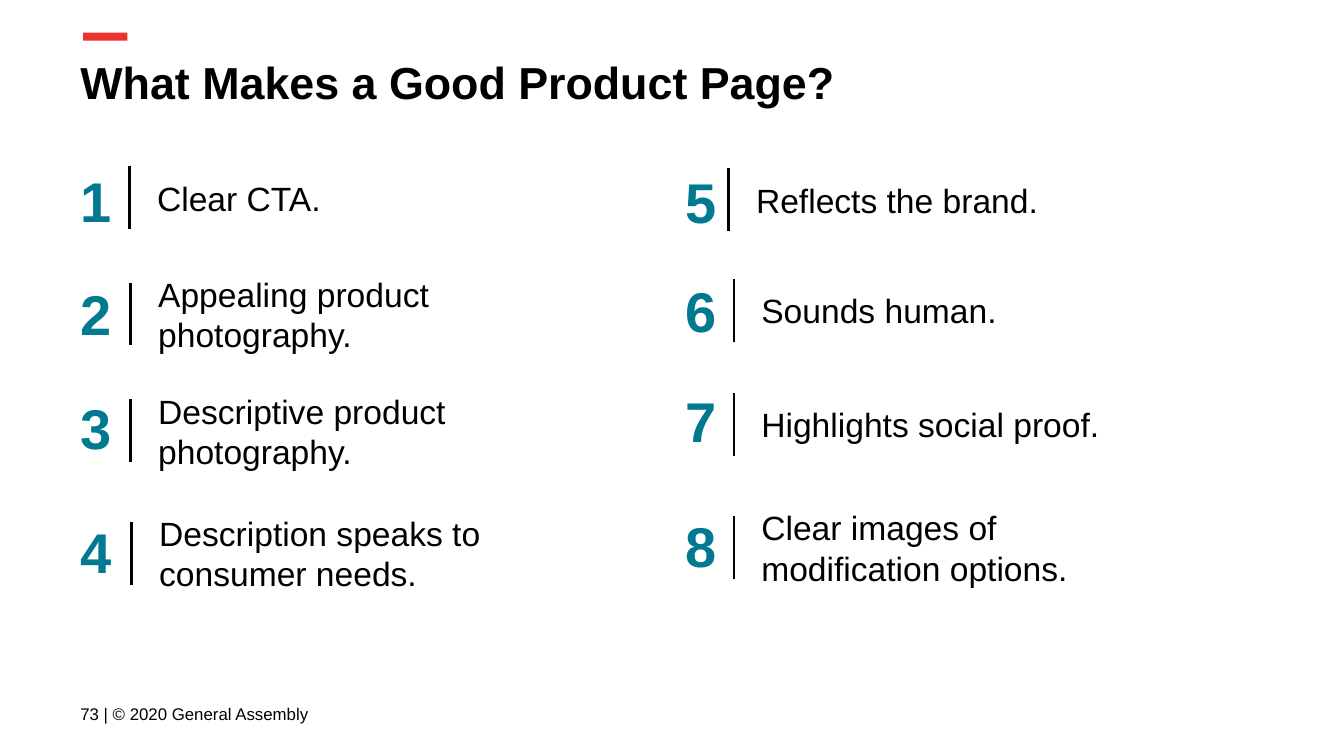
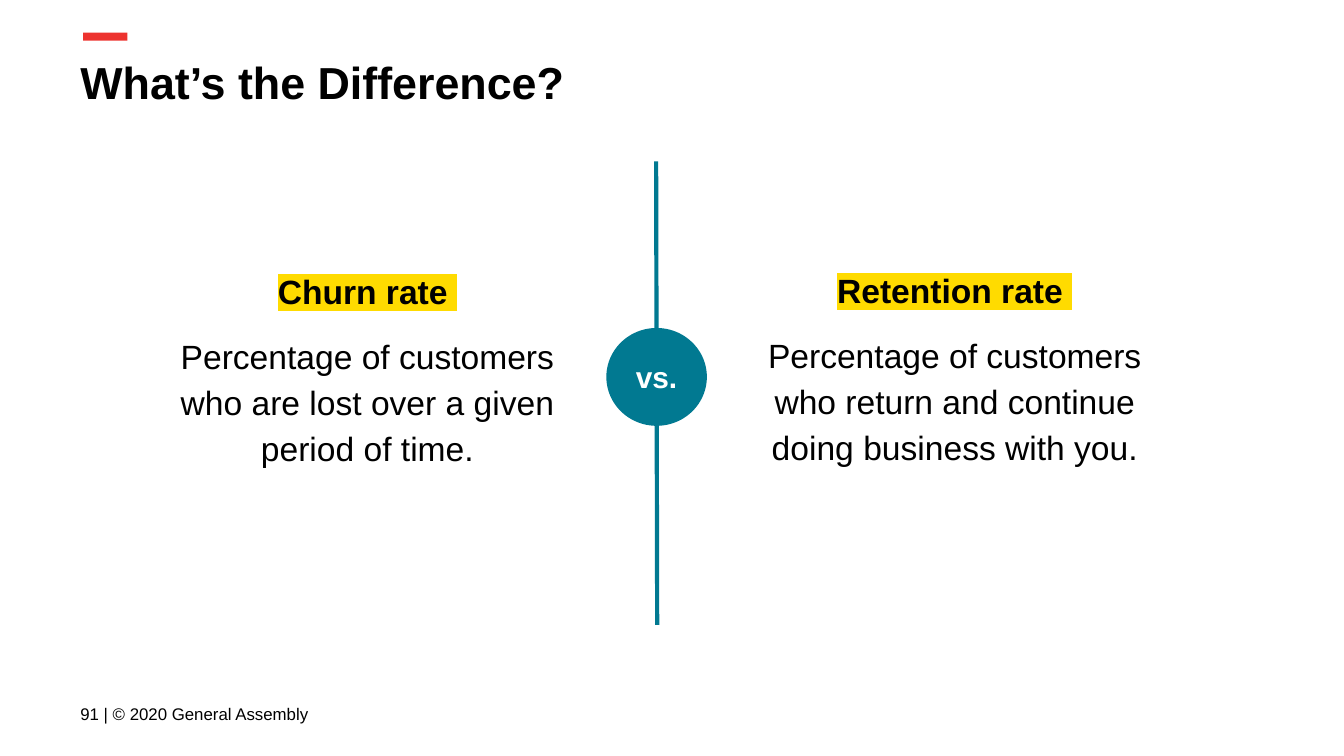
from lxml import etree
from pptx import Presentation
from pptx.dml.color import RGBColor
from pptx.enum.shapes import MSO_CONNECTOR as CONN, MSO_SHAPE as SHAPE
from pptx.enum.text import MSO_ANCHOR as ANCHOR, MSO_AUTO_SIZE as FIT, PP_ALIGN as ALIGN
from pptx.oxml.ns import qn
from pptx.util import Cm, Pt

COLORS = {
    "ink": "000000",
    "paper": "FFFFFF",
    "accent": "ED332F",
    "teal": "017991",
    "marker": "FFDB00",
}
FONT = "Arial"
INSET = Cm(0.25)
LEFT = 1.27  # left edge of title, footer and first column, in cm


def rgb(name):
    return RGBColor.from_string(COLORS[name])


def set_all(obj, values):
    for name, value in values.items():
        setattr(obj, name, value)


def highlight(run, color):
    mark = etree.Element(qn("a:highlight"))
    etree.SubElement(mark, qn("a:srgbClr"), val=COLORS[color])
    run.font._element.find(qn("a:solidFill")).addnext(mark)


class Deck:
    def __init__(self):
        self.prs = Presentation()
        self.prs.slide_width, self.prs.slide_height = Cm(25.4), Cm(14.29)
        self.s = None

    def slide(self, title, number):
        """Start a slide with its accent bar, title and footer."""
        self.s = self.prs.slides.add_slide(self.prs.slide_layouts[5])
        self.shape(SHAPE.RECTANGLE, (1.57, 0.62, 0.84, 0.15), "accent")
        sp = self.s.shapes.title
        box = dict(zip(("left", "top", "width", "height"), map(Cm, (LEFT, 0.79, 23.67, 1.6))))
        set_all(sp, box)
        self.frame(sp.text_frame, ANCHOR.TOP)
        self.fill_text(sp.text_frame.paragraphs[0], title, 24, bold=True)
        self.text((LEFT, 12.95, 7.95, 1.09), f"{number} | © 2020 General Assembly", 9,
                  anchor=ANCHOR.MIDDLE)

    def frame(self, tf, anchor):
        set_all(tf, {
            "word_wrap": True, "auto_size": FIT.NONE, "vertical_anchor": anchor,
            "margin_left": INSET, "margin_right": INSET,
            "margin_top": INSET, "margin_bottom": INSET,
        })

    def fill_text(self, p, text, size, color="ink", bold=False, align=ALIGN.LEFT):
        p.text = text
        p.alignment = align
        for r in p.runs:
            set_all(r.font, {"name": FONT, "size": Pt(size), "bold": bold})
            r.font.color.rgb = rgb(color)

    def text(self, box, text, size, anchor=ANCHOR.TOP, **style):
        tf = self.s.shapes.add_textbox(*map(Cm, box)).text_frame
        self.frame(tf, anchor)
        self.fill_text(tf.paragraphs[0], text, size, **style)
        return tf

    def shape(self, kind, box, fill):
        sp = self.s.shapes.add_shape(kind, *map(Cm, box))
        sp.shadow.inherit = False
        sp.fill.solid()
        sp.fill.fore_color.rgb = rgb(fill)
        sp.line.fill.background()
        return sp

    def line(self, ends, color, width):
        ln = self.s.shapes.add_connector(CONN.STRAIGHT, *map(Cm, ends))
        ln.line.color.rgb = rgb(color)
        ln.line.width = Pt(width)
        etree.SubElement(ln._element.spPr, qn("a:effectLst"))

    def numbered(self, number, text, left, number_top, rule_x, rule_top):
        """Big numeral, vertical rule and a label placed relative to the rule."""
        self.text((left, number_top, 0.92, 1.27), str(number), 30, color="teal", bold=True)
        self.line((rule_x, rule_top, rule_x, rule_top + 1.19), "ink", 1.5)
        self.text((rule_x + 0.27, rule_top - 0.24, 8.51, 1.68), text, 18,
                  anchor=ANCHOR.MIDDLE)

    def badge(self, box, text):
        sp = self.shape(SHAPE.OVAL, box, "teal")
        self.frame(sp.text_frame, ANCHOR.MIDDLE)
        self.fill_text(sp.text_frame.paragraphs[0], text, 16, color="paper", bold=True,
                       align=ALIGN.CENTER)

    def definition(self, box, term, meaning, anchor):
        tf = self.text(box, term + " ", 18, anchor=anchor, bold=True, align=ALIGN.CENTER)
        highlight(tf.paragraphs[0].runs[0], "marker")
        p = tf.add_paragraph()
        self.fill_text(p, meaning, 18, align=ALIGN.CENTER)
        p.space_before = Pt(10)
        for p in tf.paragraphs:
            p.line_spacing = 1.15


def product_page(deck):
    deck.slide("What Makes a Good Product Page?", 73)
    # text, numeral top, rule x, rule top
    columns = {
        LEFT: [
            ("Clear CTA.", 2.9, 2.45, 3.14),
            ("Appealing product photography.", 5.03, 2.47, 5.34),
            ("Descriptive product photography.", 7.19, 2.47, 7.55),
            ("Description speaks to consumer needs.", 9.53, 2.49, 9.86),
        ],
        12.7: [
            ("Reflects the brand.", 2.92, 13.77, 3.18),
            ("Sounds human.", 4.98, 13.87, 5.27),
            ("Highlights social proof.", 7.06, 13.87, 7.42),
            ("Clear images of\vmodification options.", 9.42, 13.87, 9.75),
        ],
    }
    number = 0
    for left, items in columns.items():
        for text, *place in items:
            number += 1
            deck.numbered(number, text, left, *place)


def difference(deck):
    deck.slide("What’s the Difference?", 91)
    deck.definition((3.15, 4.75, 7.59, 4.72), "Churn rate",
                    "Percentage of customers who are lost over a given period of time.",
                    ANCHOR.TOP)
    deck.line((12.4, 3.05, 12.42, 11.81), "teal", 2.25)
    deck.badge((11.46, 6.2, 1.9, 1.85), "vs.")
    deck.definition((13.84, 4.55, 8.41, 4.72), "Retention rate",
                    "Percentage of customers who return and continue doing business with you.",
                    ANCHOR.MIDDLE)


def main():
    deck = Deck()
    product_page(deck)
    difference(deck)
    deck.prs.save("out.pptx")


if __name__ == "__main__":
    main()
